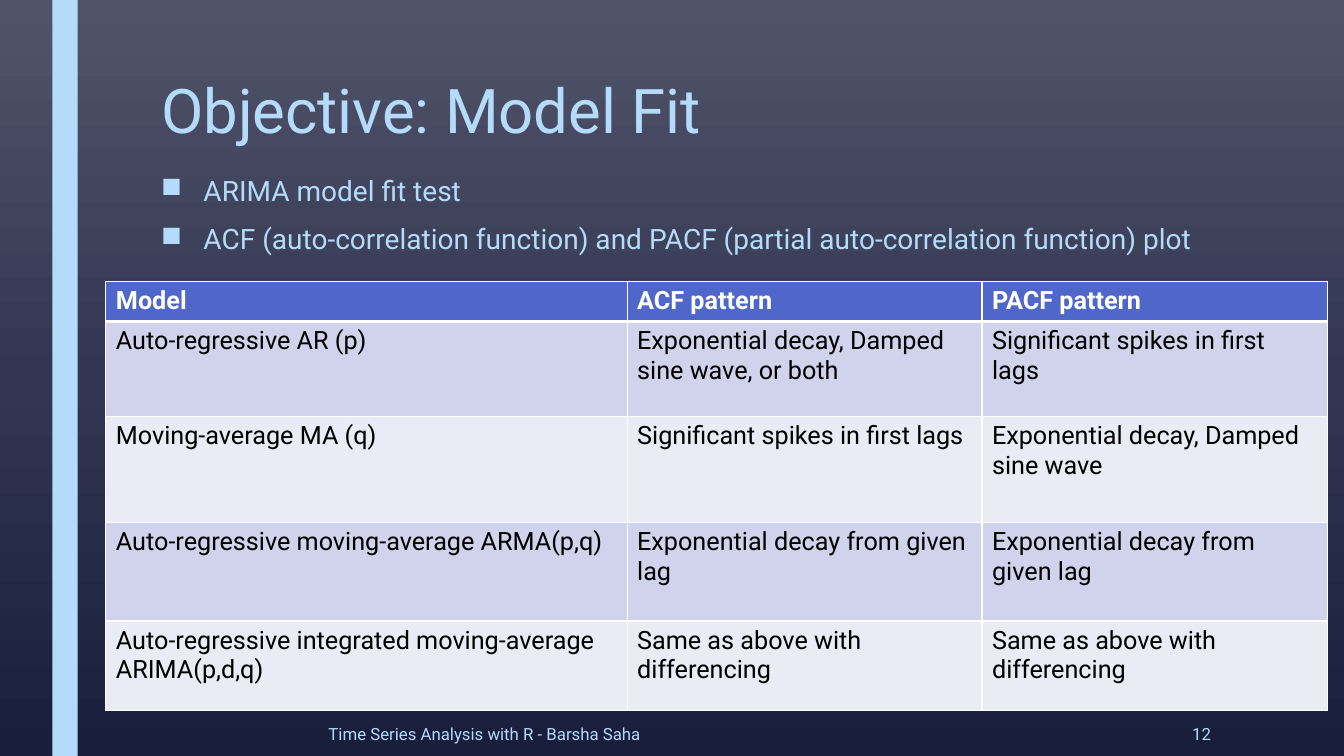
from copy import deepcopy
from lxml.etree import SubElement
from pptx import Presentation
from pptx.dml.color import RGBColor
from pptx.enum.shapes import MSO_SHAPE
from pptx.enum.text import MSO_ANCHOR, PP_ALIGN
from pptx.oxml.ns import qn
from pptx.util import Inches, Pt

WIDE, HIGH = 13.33, 7.5
FONT = "Roboto"
SKY = RGBColor(0xB4, 0xDC, 0xFA)
WHITE = RGBColor(0xFF, 0xFF, 0xFF)
BLACK = RGBColor(0x00, 0x00, 0x00)
HEAD = RGBColor(0x4E, 0x67, 0xC8)
BANDS = RGBColor(0xE9, 0xEB, 0xF5), RGBColor(0xD0, 0xD3, 0xEB)
SHADES = (
    (0, RGBColor(0x51, 0x54, 0x69)),
    (0.5, RGBColor(0x32, 0x36, 0x52)),
    (1, RGBColor(0x18, 0x1E, 0x3B)),
)
COLS = 5.17, 3.52, 3.43
ROWS = 0.39, 0.94, 1.05, 0.98, 0.89
POINTS = (
    "ARIMA model fit test",
    "ACF (auto-correlation function) and PACF (partial auto-correlation function) plot",
)
MODELS = (
    ("Model", "ACF pattern", "PACF pattern"),
    ("Auto-regressive AR (p)", "Exponential decay, Damped sine wave, or both",
     "Significant spikes in first lags"),
    ("Moving-average MA (q)", "Significant spikes in first lags",
     "Exponential decay, Damped sine wave"),
    ("Auto-regressive moving-average ARMA(p,q)", "Exponential decay from given lag",
     "Exponential decay from given lag"),
    ("Auto-regressive integrated moving-average ARIMA(p,d,q)",
     "Same as above with differencing", "Same as above with differencing"),
)


def style(para, size, color, bold=False):
    font = para.font
    font.name, font.size, font.bold = FONT, Pt(size), bold
    font.color.rgb = color


def add_text(slide, box, lines, size, anchor=MSO_ANCHOR.TOP):
    frame = slide.shapes.add_textbox(*map(Inches, box)).text_frame
    frame.word_wrap = True
    frame.vertical_anchor = anchor
    frame.text = "\n".join(lines)
    for para in frame.paragraphs:
        style(para, size, SKY)
    return frame.paragraphs


def add_back(slide):
    fill = slide.background.fill
    fill.gradient()
    fill.gradient_angle = 270
    stops = slide.element.find(".//" + qn("a:gsLst"))
    stops.insert(1, deepcopy(stops[0]))
    for stop, (place, color) in zip(fill.gradient_stops, SHADES):
        stop.position = place
        stop.color.rgb = color


def add_stripe(slide, box):
    stripe = slide.shapes.add_shape(MSO_SHAPE.RECTANGLE, *map(Inches, box))
    stripe.shadow.inherit = False
    stripe.fill.solid()
    stripe.fill.fore_color.rgb = SKY
    stripe.line.fill.background()


def add_title(slide, box, title):
    add_text(slide, box, [title], 44)[0].line_spacing = 0.89


def add_points(slide, box, points):
    for para in add_text(slide, box, points, 20):
        para.line_spacing = 0.94
        para.space_before, para.space_after = Pt(10), Pt(2)
        props = para._p.get_or_add_pPr()
        props.set("marL", str(Inches(0.42)))
        props.set("indent", str(-Inches(0.42)))
        mark = SubElement(props, qn("a:buChar"))
        mark.set("char", "■")
        props.insert_element_before(mark, "a:tabLst", "a:defRPr")


def add_edges(cell, base):
    props = cell._tc.get_or_add_tcPr()
    for spot, (side, width) in enumerate((("L", 1), ("R", 1), ("T", 1), ("B", base))):
        edge = SubElement(props, qn("a:ln" + side), w=str(Pt(width)))
        fill = SubElement(edge, qn("a:solidFill"))
        SubElement(fill, qn("a:srgbClr"), val=str(WHITE))
        props.insert(spot, edge)


def add_models(slide, box):
    grid = slide.shapes.add_table(len(ROWS), len(COLS), *map(Inches, box)).table
    for col, width in zip(grid.columns, COLS):
        col.width = Inches(width)
    for row, height in zip(grid.rows, ROWS):
        row.height = Inches(height)
    for r, texts in enumerate(MODELS):
        top = r == 0
        for c, text in enumerate(texts):
            cell = grid.cell(r, c)
            cell.text = text
            style(cell.text_frame.paragraphs[0], 18, WHITE if top else BLACK, top)
            cell.fill.solid()
            cell.fill.fore_color.rgb = HEAD if top else BANDS[r % 2]
            add_edges(cell, 3 if top else 1)


def add_foot(slide, box, note, page):
    left, top, width, height = box
    middle = MSO_ANCHOR.MIDDLE
    add_text(slide, (left, top, width * 0.77, height), [note], 12, middle)
    last = width * 0.2
    para = add_text(slide, (left + width - last, top, last, height), [page], 12, middle)[0]
    para.alignment = PP_ALIGN.RIGHT


def main():
    deck = Presentation()
    deck.slide_width, deck.slide_height = Inches(WIDE), Inches(HIGH)
    slide = deck.slides.add_slide(deck.slide_layouts[6])
    add_back(slide)
    add_stripe(slide, (0.52, 0, 0.25, HIGH))
    add_title(slide, (1.5, 0.75, 10.5, 0.94), "Objective: Model Fit")
    add_points(slide, (1.5, 1.7, 10.5, 0.94), POINTS)
    add_models(slide, (1.05, 2.79, sum(COLS), sum(ROWS)))
    add_foot(slide, (3.16, 7.06, 8.95, 0.44),
             "Time Series Analysis with R - Barsha Saha", "12")
    deck.save("out.pptx")


if __name__ == "__main__":
    main()
